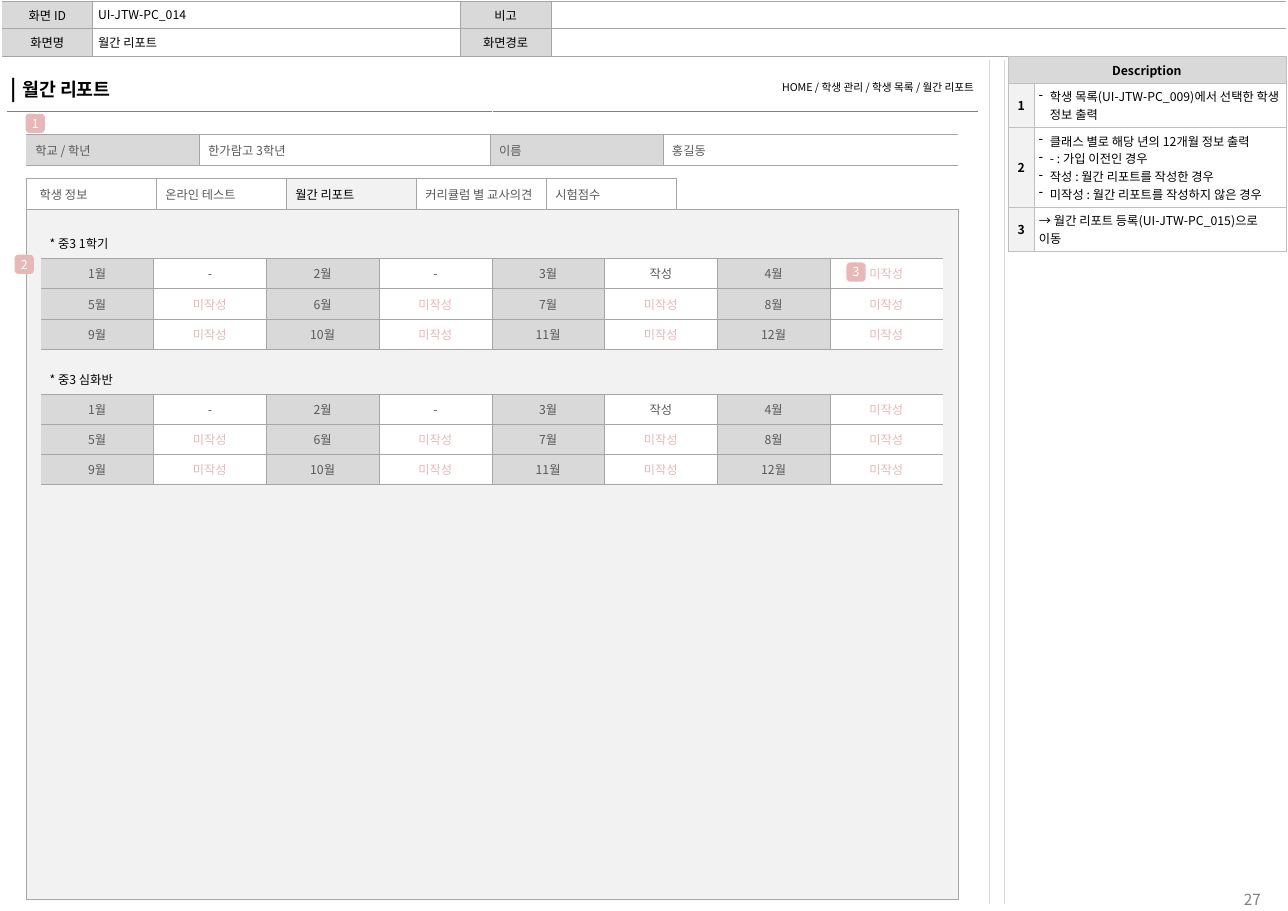
from dataclasses import dataclass

from lxml.etree import SubElement
from pptx import Presentation
from pptx.dml.color import RGBColor
from pptx.enum.shapes import MSO_CONNECTOR, MSO_SHAPE
from pptx.enum.text import MSO_ANCHOR, PP_ALIGN
from pptx.oxml.ns import qn
from pptx.util import Pt


@dataclass(frozen=True)
class Theme:
    font: str = "Noto Sans CJK KR"
    black: str = "000000"
    white: str = "FFFFFF"
    text: str = "595959"
    muted: str = "808080"
    label: str = "D9D9D9"
    panel: str = "F2F2F2"
    accent: str = "E6B9B8"
    border: str = "A6A6A6"
    note_border: str = "BFBFBF"
    body: float = 8
    path_size: float = 7
    page_size: float = 10
    title: float = 12
    title_bar: float = 14
    hairline: float = 0.25


THEME = Theme()
NO_TABLE_STYLE = "{2D5ABB26-0587-4C30-8999-92F81FD0307C}"
EDGES = {"l": "a:lnL", "r": "a:lnR", "t": "a:lnT", "b": "a:lnB"}
MARGINS = ("margin_left", "margin_top", "margin_right", "margin_bottom")
TAB_INSETS = (5.76, 0, 0, 0)
MONTH_INSETS = (5.76, 0, 5.76, 0)
HEADER_INSETS = (3.6, 2.88, 3.6, 2.88)
NOTE_INSETS = (2.88, 2.88, 2.88, 2.88)


def set_attributes(target, values):
    for name, value in values.items():
        setattr(target, name, value)


def set_margins(target, insets):
    set_attributes(target, dict(zip(MARGINS, map(Pt, insets))))


def add_run(paragraph, text, size=THEME.body, color=THEME.black, bold=False):
    run = paragraph.add_run()
    run.text = text
    set_attributes(run.font, {"name": THEME.font, "size": Pt(size), "bold": bold})
    run.font.color.rgb = RGBColor.from_string(color)
    SubElement(run.font._element, qn("a:ea"), typeface=THEME.font)


def add_dash(paragraph):
    """Give the paragraph a hanging dash bullet."""
    properties = paragraph._p.get_or_add_pPr()
    properties.set("marL", str(Pt(7.2)))
    properties.set("indent", str(-Pt(7.2)))
    SubElement(properties, qn("a:buChar"), char="-")


def add_border(cell, side, color, width=THEME.hairline):
    properties = cell._tc.get_or_add_tcPr()
    line = properties.makeelement(qn(EDGES[side]), {"w": str(Pt(width))})
    fill = SubElement(line, qn("a:solidFill"))
    SubElement(fill, qn("a:srgbClr"), val=color)
    position = sum(child.tag in map(qn, EDGES.values()) for child in properties)
    properties.insert(position, line)


def format_cell(cell, lines=(), fill=None, sides="lrtb", border=THEME.border,
                insets=TAB_INSETS, anchor=MSO_ANCHOR.MIDDLE,
                align=PP_ALIGN.LEFT, dashes=False, **font):
    set_margins(cell, insets)
    cell.vertical_anchor = anchor
    if fill:
        cell.fill.solid()
        cell.fill.fore_color.rgb = RGBColor.from_string(fill)
    for side in EDGES:
        if side in sides:
            add_border(cell, side, border)
    for index, line in enumerate(lines):
        frame = cell.text_frame
        paragraph = frame.add_paragraph() if index else frame.paragraphs[0]
        paragraph.alignment = align
        add_run(paragraph, line, **font)
        if dashes:
            add_dash(paragraph)
    if not lines:
        SubElement(cell.text_frame.paragraphs[0]._p, qn("a:endParaRPr"),
                   sz=str(THEME.body * 100))


def open_sides(column, count):
    """Borders of a grid whose left and right ends stay open."""
    return "tb" + ("l" if column else "") + ("r" if column < count - 1 else "")


def add_table(slide, left, top, widths, heights):
    frame = slide.shapes.add_table(len(heights), len(widths), Pt(left), Pt(top),
                                   Pt(sum(widths)), Pt(sum(heights)))
    frame.element.find(".//" + qn("a:tableStyleId")).text = NO_TABLE_STYLE
    table = frame.table
    table.first_row = table.horz_banding = False
    for column, width in zip(table.columns, widths):
        column.width = Pt(width)
    for row, height in zip(table.rows, heights):
        row.height = Pt(height)
    return table


def add_guide(slide, x):
    guide = slide.shapes.add_connector(MSO_CONNECTOR.STRAIGHT,
                                       Pt(x), Pt(38.9), Pt(x), Pt(591.1))
    guide.line.color.rgb = RGBColor.from_string(THEME.label)
    guide.line.width = Pt(0.75)
    SubElement(guide._element.spPr, qn("a:effectLst"))


def add_badge(slide, number, left, top):
    badge = slide.shapes.add_shape(MSO_SHAPE.ROUNDED_RECTANGLE,
                                   Pt(left), Pt(top), Pt(11.52), Pt(11.52))
    badge.shadow.inherit = False
    badge.fill.solid()
    for part in (badge.fill.fore_color, badge.line.color):
        part.rgb = RGBColor.from_string(THEME.accent)
    badge.line.width = Pt(1)
    frame = badge.text_frame
    set_margins(frame, (0, 0, 0, 0))
    frame.vertical_anchor = MSO_ANCHOR.MIDDLE
    frame.paragraphs[0].alignment = PP_ALIGN.CENTER
    add_run(frame.paragraphs[0], number, color=THEME.white)


def add_page_number(slide, number):
    box = slide.shapes.add_textbox(Pt(805), Pt(577.4), Pt(36), Pt(18))
    set_margins(box.text_frame, (7.92, 4.32, 0, 0))
    box.text_frame.word_wrap = True
    add_run(box.text_frame.paragraphs[0], number, THEME.page_size, THEME.muted)


def add_tabs(slide):
    names = ["학생 정보", "온라인 테스트", "월간 리포트", "커리큘럼 별 교사의견", "시험점수"]
    active = names.index("월간 리포트")
    table = add_table(slide, 17.28, 116.64, [84.96] * 5 + [184.32], [20.16, 450.72])
    for index, name in enumerate(names):
        chosen = index == active
        format_cell(table.cell(0, index), [name],
                    THEME.panel if chosen else THEME.white,
                    "lrt" if chosen else "lrtb",
                    insets=TAB_INSETS if index else (8.64, 0, 0, 0),
                    color=THEME.black if chosen else THEME.text)
    format_cell(table.cell(0, 5), fill=THEME.white, sides="lb")
    for index in range(6):
        format_cell(table.cell(1, index), fill=THEME.panel)
    table.cell(1, 0).merge(table.cell(1, 5))


def add_title(slide):
    table = add_table(slide, 4.32, 41.04, [317.52] * 2, [31.8])
    title, location = table.cell(0, 0), table.cell(0, 1)
    format_cell(title, ["| "], THEME.white, "b", THEME.muted,
                (2.88, 5.76, 0, 5.76), size=THEME.title_bar, bold=True)
    add_run(title.text_frame.paragraphs[0], "월간 리포트", THEME.title, bold=True)
    format_cell(location, ["HOME / 학생 관리 / 학생 목록 / 월간 리포트"], THEME.white,
                "b", THEME.muted, (0, 5.76, 2.88, 5.76),
                align=PP_ALIGN.RIGHT, size=THEME.path_size)
    for cell, side in ((title, "r"), (location, "l"), (location, "r")):
        add_border(cell, side, THEME.white, 1)


def add_label_grid(slide, left, top, widths, heights, rows, insets, label_align,
                   value_anchor, color):
    """Rows of alternating grey labels and white values."""
    table = add_table(slide, left, top, widths, heights)
    for row, texts in enumerate(rows):
        for column, text in enumerate(texts):
            is_label = column % 2 == 0
            format_cell(table.cell(row, column), [text] if text else [],
                        THEME.label if is_label else THEME.white,
                        open_sides(column, len(widths)), insets=insets,
                        anchor=MSO_ANCHOR.MIDDLE if is_label else value_anchor,
                        align=label_align if is_label else PP_ALIGN.LEFT,
                        color=color)


def add_months(slide, top, heading):
    table = add_table(slide, 26.64, top, [73.7] * 8, [19.8] * 4)
    for column in range(8):
        format_cell(table.cell(0, column), [] if column else [heading],
                    sides="b", insets=MONTH_INSETS)
    table.cell(0, 0).merge(table.cell(0, 7))
    statuses = ["-", "-", "작성"] + ["미작성"] * 9
    for index, status in enumerate(statuses):
        row, column = index // 4 + 1, index % 4 * 2
        status_color = THEME.accent if status == "미작성" else THEME.text
        pair = ((f"{index + 1}월", THEME.label, THEME.text),
                (status, THEME.white, status_color))
        for place, (text, fill, color) in enumerate(pair, column):
            format_cell(table.cell(row, place), [text], fill, open_sides(place, 8),
                        insets=MONTH_INSETS, align=PP_ALIGN.CENTER, color=color)


def add_description(slide):
    notes = [
        ["학생 목록(UI-JTW-PC_009)에서 선택한 학생 정보 출력"],
        ["클래스 별로 해당 년의 12개월 정보 출력", "- : 가입 이전인 경우",
         "작성 : 월간 리포트를 작성한 경우", "미작성 : 월간 리포트를 작성하지 않은 경우"],
        ["→ 월간 리포트 등록(UI-JTW-PC_015)으로 이동"],
    ]
    common = {"border": THEME.note_border, "insets": NOTE_INSETS}
    heading = {"align": PP_ALIGN.CENTER, "bold": True, **common}
    table = add_table(slide, 658.8, 36.72, [17.28, 164.16], [17.6, 29, 52.2, 29])
    format_cell(table.cell(0, 0), ["Description"], THEME.label, **heading)
    format_cell(table.cell(0, 1), fill=THEME.label, **common)
    table.cell(0, 0).merge(table.cell(0, 1))
    for number, lines in enumerate(notes, 1):
        format_cell(table.cell(number, 0), [str(number)], THEME.panel, **heading)
        format_cell(table.cell(number, 1), lines, THEME.white, anchor=MSO_ANCHOR.TOP,
                    dashes=not lines[0].startswith("→"), **common)


def main():
    presentation = Presentation()
    presentation.slide_width, presentation.slide_height = Pt(841.68), Pt(595.44)
    slide = presentation.slides.add_slide(presentation.slide_layouts[6])
    add_page_number(slide, "27")
    for x in (646.56, 656.64):
        add_guide(slide, x)
    add_tabs(slide)
    add_title(slide)
    add_label_grid(slide, 1.44, 0.72, [59.04, 240.48, 59.04, 480.24], [17.9] * 2,
                   [["화면 ID", "UI-JTW-PC_014", "비고", ""],
                    ["화면명", "월간 리포트", "화면경로", ""]],
                   HEADER_INSETS, PP_ALIGN.CENTER, MSO_ANCHOR.TOP, THEME.black)
    add_months(slide, 149.04, "* 중3 1학기")
    add_label_grid(slide, 17.28, 87.84, [113.04, 190.08, 113.04, 192.96], [20.16],
                   [["학교 / 학년", "한가람고 3학년", "이름", "홍길동"]],
                   TAB_INSETS, PP_ALIGN.LEFT, MSO_ANCHOR.MIDDLE, THEME.text)
    add_description(slide)
    add_months(slide, 237.6, "* 중3 심화반")
    for number, left, top in (("1", 17.28, 74.88), ("3", 553.68, 172.08),
                              ("2", 10.08, 167.04)):
        add_badge(slide, number, left, top)
    presentation.save("out.pptx")


if __name__ == "__main__":
    main()
